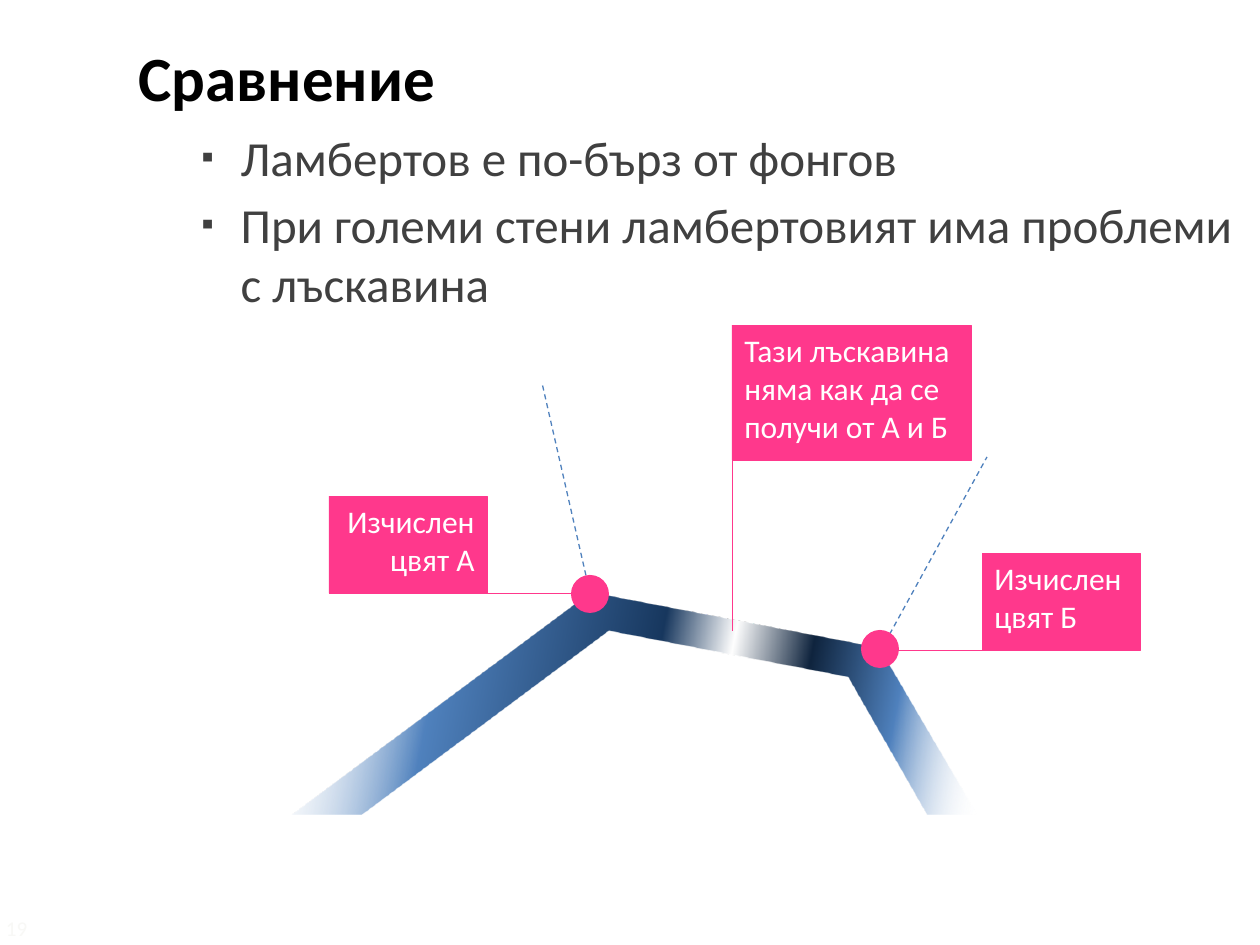
from lxml import etree
from pptx import Presentation
from pptx import util as u
from pptx.dml.color import RGBColor
from pptx.enum import dml, shapes, text
from pptx.oxml import ns

SCALE = 914400 / 126  # EMU in one px
FONT = "Calibri"
BLACK = RGBColor(0x00, 0x00, 0x00)
GREY = RGBColor(0x40, 0x40, 0x40)
PALE = RGBColor(0xF8, 0xF8, 0xF6)
WHITE = RGBColor(0xFF, 0xFF, 0xFF)
PINK = RGBColor(0xFF, 0x38, 0x8C)
BLUE = RGBColor(0x4F, 0x81, 0xBD)
DEEP_BLUE = RGBColor(0x17, 0x37, 0x5E)
NIGHT_BLUE = RGBColor(0x0F, 0x24, 0x3E)

# position in percent, colour, opacity in percent
WALL_STOPS = [
    (0, WHITE, 0), (22, BLUE, 100), (52, DEEP_BLUE, 100), (62, WHITE, 100),
    (73, NIGHT_BLUE, 100), (86, BLUE, 100), (100, WHITE, 0),
]
WALL_POINTS = [
    (591, 593), (879, 648), (977, 814), (927, 814),
    (848, 677), (609, 631), (362, 814), (292, 814),
]
NORMALS = [((590, 593), (542, 383)), ((881, 650), (987, 457))]
VERTICES = [(590, 594), (880, 649)]
VERTEX_SIZE = 38
# words, box, line start, line end, alignment
CALLOUTS = [
    ("Изчислен цвят А", (329, 496, 158, 97), (329, 593), (577, 593), text.PP_ALIGN.RIGHT),
    ("Изчислен цвят Б", (982, 553, 158, 97), (891, 650), (1139, 650), text.PP_ALIGN.LEFT),
    ("Тази лъскавина няма как да се получи от А и Б", (732, 325, 239, 135),
     (732, 631), (732, 325), text.PP_ALIGN.LEFT),
]
POINTS = ["Ламбертов е по-бърз от фонгов",
          "При големи стени ламбертовият има проблеми с лъскавина"]


def px(*lengths):
    return [u.Emu(round(length * SCALE)) for length in lengths]


def write(para, words, size, color, bold=False, align=text.PP_ALIGN.LEFT):
    para.alignment = align
    span = para.add_run()
    span.text = words
    font = span.font
    font.name, font.size, font.bold = FONT, u.Pt(size), bold
    font.color.rgb = color


def prepare_frame(box, anchor=text.MSO_ANCHOR.TOP):
    """Wrap the text at a fixed size and return the frame."""
    frame = box.text_frame
    frame.word_wrap = True
    frame.auto_size = text.MSO_AUTO_SIZE.NONE
    frame.vertical_anchor = anchor
    return frame


def place(box, left, top, width, height):
    box.left, box.top, box.width, box.height = px(left, top, width, height)


def add_bullet(para):
    """Give the paragraph a small square bullet and a hanging indent."""
    props = para._p.get_or_add_pPr()
    margin, indent = px(102, -39)
    props.set("marL", str(margin))
    props.set("indent", str(indent))
    color = etree.SubElement(props, ns.qn("a:buClr"))
    etree.SubElement(color, ns.qn("a:srgbClr"), val=str(GREY))
    etree.SubElement(props, ns.qn("a:buSzPct"), val="70000")
    etree.SubElement(props, ns.qn("a:buFont"), typeface=FONT)
    etree.SubElement(props, ns.qn("a:buChar"), char="▪")


def add_title(page, words):
    box = page.shapes.title
    place(box, 126, 32, 1124, 83)
    write(prepare_frame(box).paragraphs[0], words, 36, BLACK, bold=True)


def add_list(page, points):
    box = page.placeholders[1]
    place(box, 126, 121, 1124, 200)
    frame = prepare_frame(box)
    for index, words in enumerate(points):
        para = frame.add_paragraph() if index else frame.paragraphs[0]
        add_bullet(para)
        para.space_before = u.Pt(5 if index else 0)
        write(para, words, 28, GREY)


def add_wall(page):
    """Draw the bent wall with its glossy gradient."""
    builder = page.shapes.build_freeform(*WALL_POINTS[0], scale=SCALE)
    builder.add_line_segments(WALL_POINTS[1:], close=True)
    wall = builder.convert_to_shape()
    wall.shadow.inherit = False
    wall.line.fill.background()
    wall.fill.gradient()
    wall.fill.gradient_angle = 360 - 11
    stops = wall._element.spPr.find(".//" + ns.qn("a:gsLst"))
    for stop in list(stops):
        stops.remove(stop)
    for position, color, opacity in WALL_STOPS:
        stop = etree.SubElement(stops, ns.qn("a:gs"), pos=str(position * 1000))
        fill = etree.SubElement(stop, ns.qn("a:srgbClr"), val=str(color))
        if opacity < 100:
            etree.SubElement(fill, ns.qn("a:alpha"), val=str(opacity * 1000))


def add_line(parent, start, end, color, width, dash=None):
    line = parent.shapes.add_connector(
        shapes.MSO_CONNECTOR.STRAIGHT, *px(*start, *end))
    line.line.color.rgb = color
    line.line.width = u.Pt(width)
    if dash:
        line.line.dash_style = dash
    etree.SubElement(line._element.spPr, ns.qn("a:effectLst"))


def add_pink_shape(parent, kind, *bounds):
    shape = parent.shapes.add_shape(kind, *px(*bounds))
    shape.shadow.inherit = False
    shape.fill.solid()
    shape.fill.fore_color.rgb = PINK
    return shape


def add_vertex(page, x, y):
    half = VERTEX_SIZE // 2
    dot = add_pink_shape(page, shapes.MSO_SHAPE.OVAL,
                         x - half, y - half, VERTEX_SIZE, VERTEX_SIZE)
    dot.line.fill.background()


def add_callout(page, words, bounds, start, end, align):
    group = page.shapes.add_group_shape()
    box = add_pink_shape(group, shapes.MSO_SHAPE.RECTANGLE, *bounds)
    box.line.color.rgb = PINK
    box.line.width = u.Pt(0.25)
    write(prepare_frame(box).paragraphs[0], words, 18, WHITE, align=align)
    add_line(group, start, end, PINK, 0.25)


def add_page_number(page, number):
    box = page.shapes.add_textbox(*px(0, 913, 60, 30))
    frame = prepare_frame(box, text.MSO_ANCHOR.MIDDLE)
    frame.margin_left, frame.margin_top, frame.margin_bottom = px(6, 0, 0)
    write(frame.paragraphs[0], number, 12, PALE)


def main():
    deck = Presentation()
    deck.slide_width, deck.slide_height = px(1260, 945)
    page = deck.slides.add_slide(deck.slide_layouts[1])
    add_title(page, "Сравнение")
    add_list(page, POINTS)
    add_wall(page)
    for start, end in NORMALS:
        add_line(page, start, end, BLUE, 0.75, dml.MSO_LINE.DASH)
    for center in VERTICES:
        add_vertex(page, *center)
    for callout in CALLOUTS:
        add_callout(page, *callout)
    add_page_number(page, "19")
    deck.save("out.pptx")


if __name__ == "__main__":
    main()
